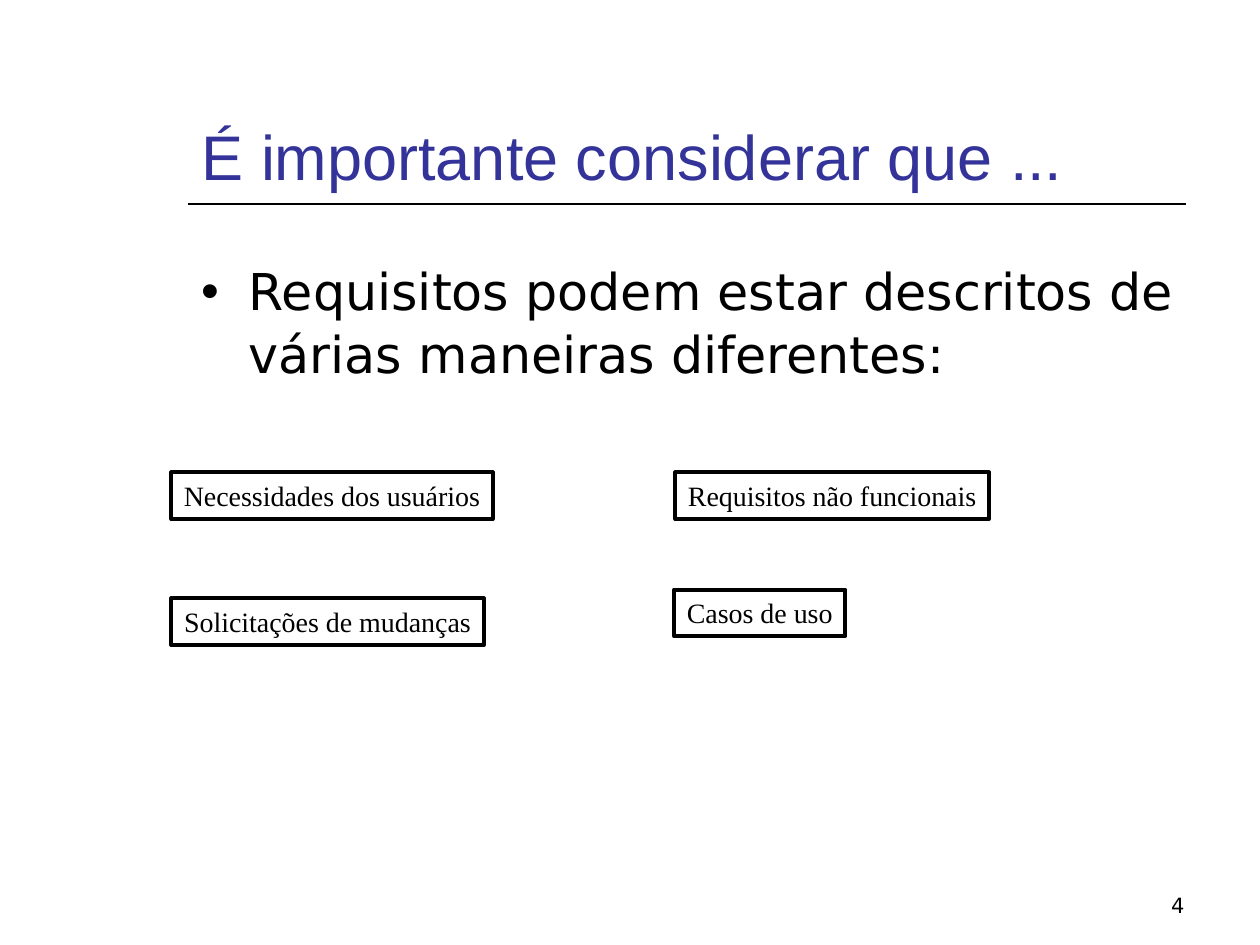
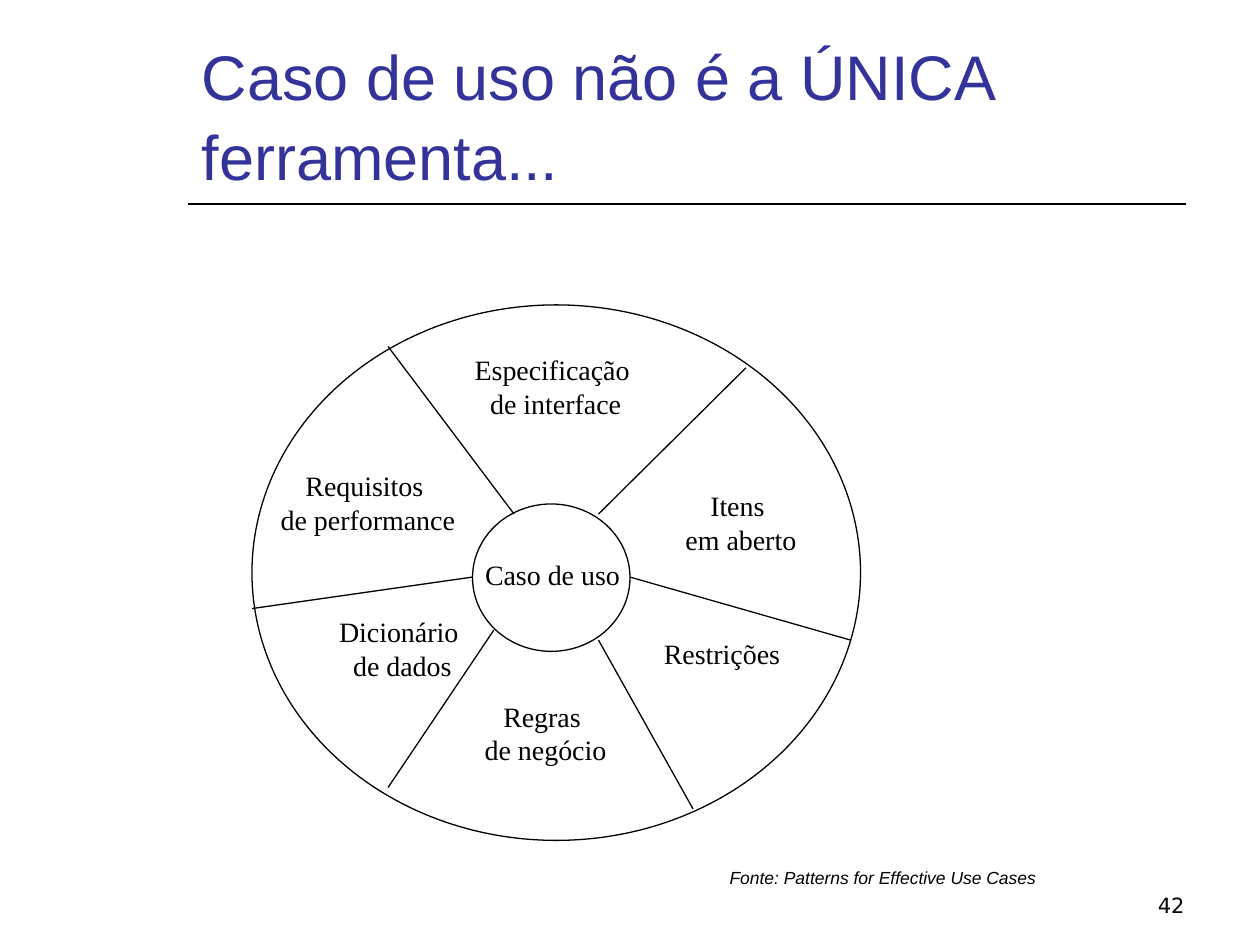
from lxml import etree
from pptx import Presentation
from pptx import util as u
from pptx.dml.color import RGBColor
from pptx.enum import shapes, text
from pptx.oxml.ns import qn

PX = 9144
INK, ACCENT = "000000", "333399"
SERIF, SANS, BODY = "Times New Roman", "Arial", "DejaVu Sans"
LEFT, CENTER, RIGHT = text.PP_ALIGN.LEFT, text.PP_ALIGN.CENTER, text.PP_ALIGN.RIGHT
TITLE_BOX = (150, 33, 800, 125)
LIST_BOX = (150, 200, 800, 450)
NUMBER_BOX = (717, 683, 233, 50)
SOURCE_BOX = (567, 683, 267, 27)
WHEEL_BOX = (200, 242, 483, 425)


def color(value):
    return RGBColor.from_string(value)


def emu(*lengths):
    return [u.Emu(length * PX) for length in lengths]


def place(shape, box):
    shape.left, shape.top, shape.width, shape.height = emu(*box)


def write(shape, lines, size, face, ink=INK, align=CENTER, italic=False,
          wrap=True, anchor=text.MSO_ANCHOR.TOP, before=0, spacing=None):
    frame = shape.text_frame
    frame.auto_size = text.MSO_AUTO_SIZE.NONE
    frame.word_wrap = wrap
    frame.vertical_anchor = anchor
    frame.margin_left, frame.margin_top, frame.margin_right, frame.margin_bottom = emu(10, 5, 10, 5)
    frame.text = lines
    for paragraph in frame.paragraphs:
        paragraph.alignment = align
        paragraph.space_before = u.Pt(before)
        paragraph.line_spacing = spacing
        font = paragraph.font
        font.size, font.name, font.italic = u.Pt(size), face, italic
        font.color.rgb = color(ink)


def add_text(slide, box, lines, size, face, **style):
    write(slide.shapes.add_textbox(*emu(*box)), lines, size, face, **style)


def add_line(slide, start, end, weight):
    line = slide.shapes.add_connector(shapes.MSO_CONNECTOR.STRAIGHT, *emu(*start, *end))
    line.line.color.rgb = color(INK)
    line.line.width = u.Pt(weight)
    etree.SubElement(line._element.spPr, qn("a:effectLst"))


def add_outline(slide, kind, box, weight):
    shape = slide.shapes.add_shape(kind, *emu(*box))
    shape.shadow.inherit = False
    shape.fill.background()
    shape.line.color.rgb = color(INK)
    shape.line.width = u.Pt(weight)
    return shape


def add_titled_slide(presentation, layout, title, number):
    slide = presentation.slides.add_slide(presentation.slide_layouts.get_by_name(layout))
    place(slide.shapes.title, TITLE_BOX)
    write(slide.shapes.title, title, 36, SANS, ink=ACCENT, align=LEFT,
          anchor=text.MSO_ANCHOR.BOTTOM, spacing=1.05)
    add_line(slide, (149, 162), (941, 162), 1)
    add_text(slide, NUMBER_BOX, number, 12, BODY, align=RIGHT,
             anchor=text.MSO_ANCHOR.BOTTOM)
    return slide


def add_bullet(paragraph, indent):
    properties = paragraph._p.get_or_add_pPr()
    properties.set("marL", str(indent * PX))
    properties.set("indent", str(-indent * PX))
    bullet_color = etree.SubElement(properties, qn("a:buClr"))
    etree.SubElement(bullet_color, qn("a:srgbClr"), val=ACCENT)
    etree.SubElement(properties, qn("a:buFont"), typeface=SANS)
    etree.SubElement(properties, qn("a:buChar"), char="•")


def fill_list(body, box, sentence):
    place(body, box)
    add_bullet(body.text_frame.paragraphs[0], 38)
    write(body, sentence, 29, BODY, align=LEFT, before=7.3, spacing=1.03)


def add_description_boxes(slide, left, top):
    descriptions = [
        (0, 0, 255, "Necessidades dos usuários"),
        (400, 0, 249, "Requisitos não funcionais"),
        (0, 100, 248, "Solicitações de mudanças"),
        (399, 93, 136, "Casos de uso"),
    ]
    for x, y, width, label in descriptions:
        shape = add_outline(slide, shapes.MSO_SHAPE.RECTANGLE,
                            (left + x, top + y, width, 37), 2.25)
        write(shape, label, 16, SERIF, wrap=False)


def add_wheel(slide, box):
    left, top, width, height = box
    labels = [
        (175, 196, 127, "Caso de uso"),
        (167, 33, 148, "Especificação \nde interface"),
        (13, 125, 158, "Requisitos \nde performance"),
        (59, 241, 115, "Dicionário\n de dados"),
        (175, 308, 116, "Regras \nde negócio"),
        (334, 141, 108, "Itens \nem aberto"),
        (317, 258, 112, "Restrições"),
    ]
    spokes = [
        (108, 33, 208, 166),
        (392, 50, 275, 166),
        (0, 241, 175, 216),
        (108, 383, 192, 258),
        (350, 400, 275, 266),
        (475, 266, 300, 216),
    ]
    for oval in [(left + 175, top + 158, 125, 117), (left, top, width, height)]:
        add_outline(slide, shapes.MSO_SHAPE.OVAL, oval, 0.75)
    for x, y, label_width, label in labels:
        label_height = 64 if "\n" in label else 37
        add_text(slide, (left + x, top + y, label_width, label_height),
                 label, 16, SERIF, wrap=False)
    for x1, y1, x2, y2 in spokes:
        add_line(slide, (left + x1, top + y1), (left + x2, top + y2), 0.75)


def build_descriptions_slide(presentation):
    slide = add_titled_slide(presentation, "Title and Content",
                             "É importante considerar que ...", "4")
    fill_list(slide.placeholders[1], LIST_BOX,
              "Requisitos podem estar descritos de várias maneiras diferentes:")
    add_description_boxes(slide, 136, 375)


def build_wheel_slide(presentation):
    slide = add_titled_slide(presentation, "Title Only",
                             "Caso de uso não é a ÚNICA ferramenta...", "42")
    add_wheel(slide, WHEEL_BOX)
    add_text(slide, SOURCE_BOX, "Fonte: Patterns for Effective Use Cases",
             10, SANS, italic=True, before=6.2)


def main():
    presentation = Presentation()
    presentation.slide_width, presentation.slide_height = emu(1000, 750)
    build_descriptions_slide(presentation)
    build_wheel_slide(presentation)
    presentation.save("out.pptx")


if __name__ == "__main__":
    main()
